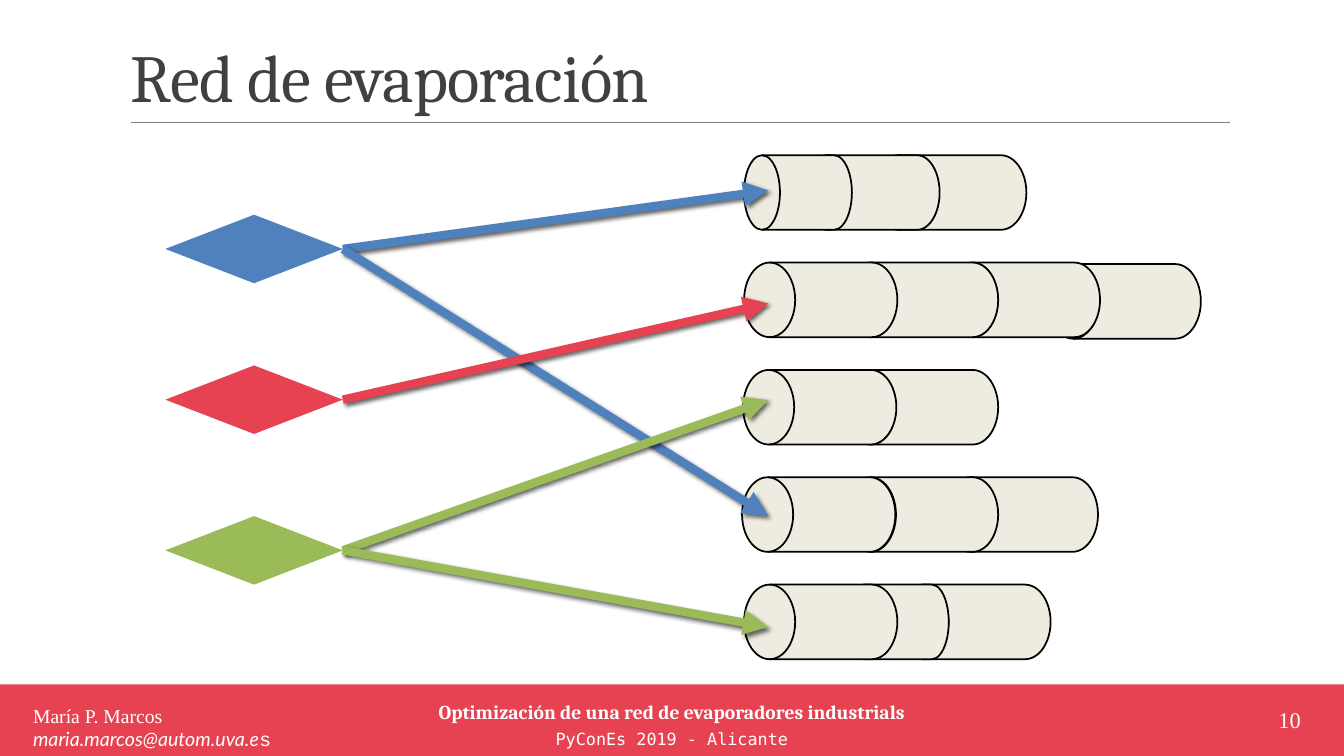
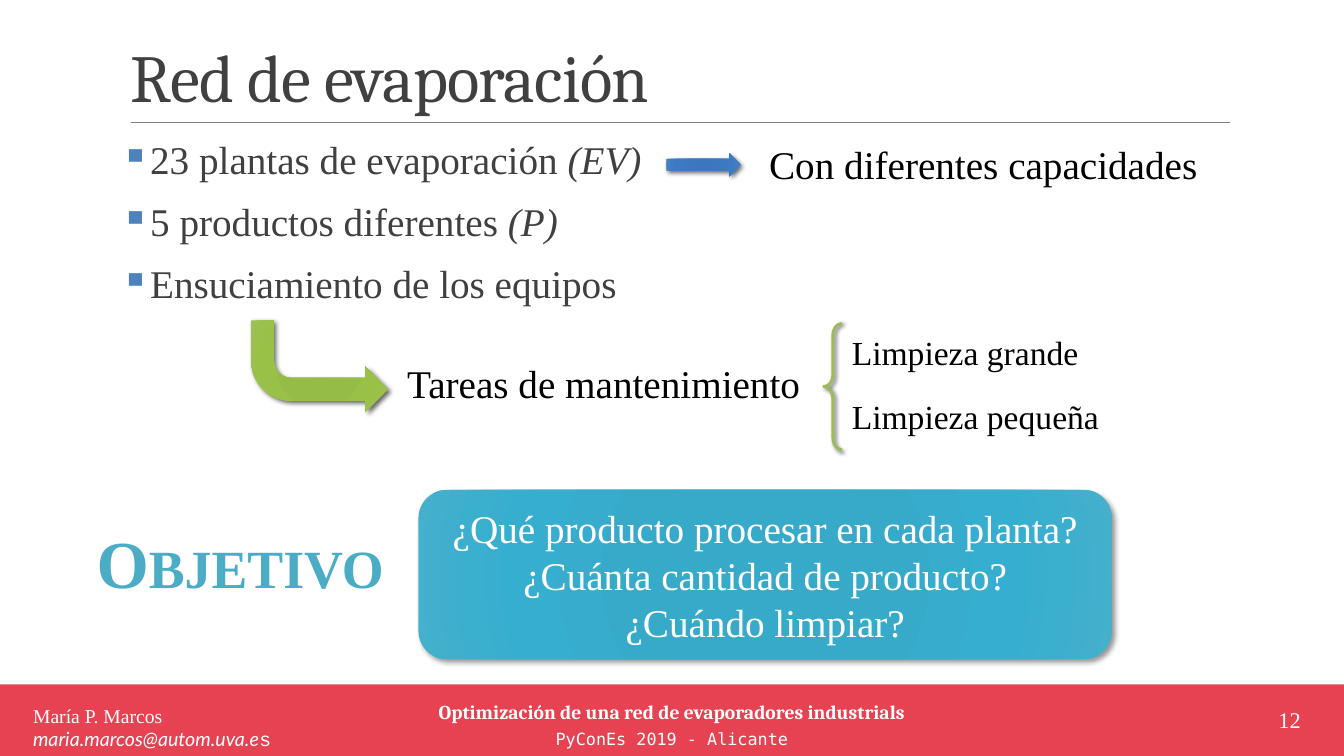
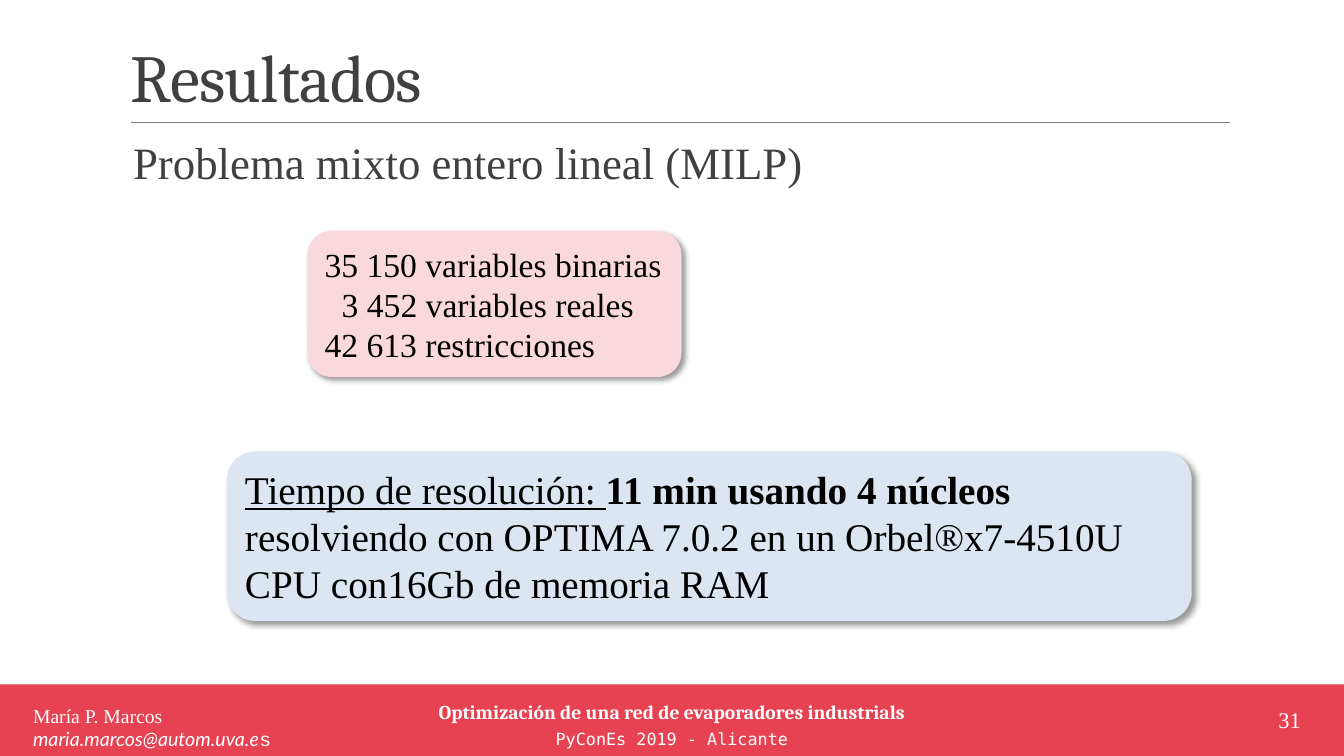
from lxml.etree import SubElement
from pptx import Presentation
from pptx.dml.color import RGBColor
from pptx.enum.shapes import MSO_CONNECTOR, MSO_SHAPE
from pptx.enum.text import MSO_ANCHOR, PP_ALIGN
from pptx.oxml import parse_xml
from pptx.oxml.ns import nsdecls, qn
from pptx.util import Inches, Pt

COLORS = {
    "band": "E64252", "rule": "808080", "ink": "404040", "black": "000000",
    "white": "FFFFFF", "blue": "4F81BD", "green": "9BBB59", "teal": "4BACC6",
    "cream": "EEECE1", "pink": "FAD9DC", "sky": "DCE6F2",
}
GRADIENTS = {
    "green": ("95BC45", "96BC48", "99C147", "9DC054"),
    "teal": ("35AACA", "38AAC9", "36AECF", "45B0CC"),
    "blue": ("3A77BF", "3D78BF", "3C7AC4", "4A81C3"),
}
GRADIENT_STOPS = (0, 34, 70, 100)
LINE_SHADOW = (60, 3, 2)
ARROW_SHADOW = (60, 3.5, 2)
CARD_SHADOW = (40, 4, 3)
SERIF = "Times New Roman"
TITLE = {"size": Pt(48), "name": "Cambria", "color": "ink", "spc": "-50"}
BODY = {"size": Pt(28), "name": SERIF, "color": "ink"}
LABEL = BODY | {"color": "black"}
SMALL_LABEL = LABEL | {"size": Pt(24)}
FOOTER = {"size": Pt(14), "name": SERIF, "color": "white"}
BODY_SPACING = {"line_spacing": 0.9, "space_after": Pt(2)}


class Deck:
    """Slide builder that holds the shared style and the current slide."""

    def __init__(self):
        self.deck = Presentation()
        self.deck.slide_width = Inches(13.33)
        self.deck.slide_height = Inches(7.5)
        self.slide = None

    def start(self, title, number):
        self.slide = self.deck.slides.add_slide(self.deck.slide_layouts[6])
        self.shape(MSO_SHAPE.RECTANGLE, (0, 6.79, 13.33, 0.71), "band")
        self.line((1.3, 1.21), (12.2, 1.21), "rule", 0.5)
        self.text((1.2, 0.31, 11, 0.89), [title], TITLE,
                  {"line_spacing": 0.85}, anchor=MSO_ANCHOR.BOTTOM)
        author = [("María P. Marcos ", {}),
                  ("maria.marcos@autom.uva.e", {"name": "Lato", "italic": True}),
                  ("s", {"name": "Courier New"})]
        self.text((0.23, 6.93, 2.83, 0.45), [author], FOOTER)
        talk = [("Optimización de una red de evaporadores industrials",
                 {"name": "Cambria", "bold": True})]
        event = [("PyConEs 2019 - Alicante",
                  {"name": "DejaVu Sans Mono", "size": Pt(12)})]
        self.text((3.38, 6.88, 6.57, 0.57), [talk, event], FOOTER,
                  {"alignment": PP_ALIGN.CENTER, "line_spacing": Pt(18)})
        self.text((11.57, 6.96, 1.43, 0.4), [number], FOOTER | {"size": Pt(16)},
                  {"alignment": PP_ALIGN.RIGHT})

    def rgb(self, color):
        return RGBColor.from_string(COLORS[color])

    def add_shadow(self, effects, shadow):
        alpha, blur, distance = shadow
        outer = SubElement(effects, qn("a:outerShdw"), blurRad=str(Pt(blur)),
                           dist=str(Pt(distance)), dir="2700000",
                           algn="tl", rotWithShape="0")
        black = SubElement(outer, qn("a:srgbClr"), val=COLORS["black"])
        SubElement(black, qn("a:alpha"), val=str(alpha * 1000))

    def shape(self, kind, box, fill=None, gradient=None, line=None, width=1,
              shadow=None, flip=None):
        shape = self.slide.shapes.add_shape(kind, *map(Inches, box))
        properties = shape._element.spPr
        if gradient:
            stops = "".join(
                f'<a:gs pos="{stop * 1000}"><a:srgbClr val="{color}"/></a:gs>'
                for stop, color in zip(GRADIENT_STOPS, GRADIENTS[gradient]))
            properties.find(qn("a:prstGeom")).addnext(parse_xml(
                f'<a:gradFill {nsdecls("a")} rotWithShape="1"><a:gsLst>{stops}'
                '</a:gsLst><a:path path="circle"><a:fillToRect l="100000" '
                't="100000" r="100000" b="100000"/></a:path></a:gradFill>'))
        elif fill:
            shape.fill.solid()
            shape.fill.fore_color.rgb = self.rgb(fill)
        else:
            shape.fill.background()
        if line:
            shape.line.color.rgb = self.rgb(line)
            shape.line.width = Pt(width)
        else:
            shape.line.fill.background()
        shape.shadow.inherit = False
        if shadow:
            self.add_shadow(properties.find(qn("a:effectLst")), shadow)
        if flip:
            properties.get_or_add_xfrm().set(flip, "1")
        return shape

    def line(self, start, end, color, width, arrow=False, shadow=None):
        connector = self.slide.shapes.add_connector(
            MSO_CONNECTOR.STRAIGHT, *map(Inches, start + end))
        connector.line.color.rgb = self.rgb(color)
        connector.line.width = Pt(width)
        properties = connector._element.spPr
        if arrow:
            SubElement(properties.find(qn("a:ln")), qn("a:tailEnd"),
                       type="triangle")
        effects = SubElement(properties, qn("a:effectLst"))
        if shadow:
            self.add_shadow(effects, shadow)

    def text(self, box, paragraphs, style, layout=None, anchor=MSO_ANCHOR.TOP,
             margin=0.1):
        holder = self.slide.shapes.add_textbox(*map(Inches, box))
        self.set_text(holder.text_frame, paragraphs, style, layout, anchor, margin)
        return holder.text_frame

    def card(self, kind, box, paragraphs, style, layout=None, **look):
        card = self.shape(kind, box, shadow=CARD_SHADOW, **look)
        layout = {"alignment": PP_ALIGN.LEFT} | (layout or {})
        self.set_text(card.text_frame, paragraphs, style, layout,
                      MSO_ANCHOR.MIDDLE)
        return card.text_frame

    def set_text(self, frame, paragraphs, style, layout, anchor, margin=0.1):
        frame.word_wrap = True
        frame.vertical_anchor = anchor
        frame.margin_left = frame.margin_right = Inches(margin)
        for index, content in enumerate(paragraphs):
            paragraph = frame.add_paragraph() if index else frame.paragraphs[0]
            for key, value in (layout or {}).items():
                setattr(paragraph, key, value)
            runs = [(content, {})] if isinstance(content, str) else content
            for words, changes in runs:
                run = paragraph.add_run()
                run.text = words
                self.style_run(run, style | changes)

    def style_run(self, run, values):
        for key, value in values.items():
            if key == "color":
                run.font.color.rgb = self.rgb(value)
            elif key in ("spc", "cap"):
                run._r.get_or_add_rPr().set(key, value)
            else:
                setattr(run.font, key, value)

    def indent(self, paragraph, left, bullet=None):
        properties = paragraph._p.get_or_add_pPr()
        properties.set("marL", str(Inches(left)))
        if bullet:
            properties.set("indent", str(-Inches(left)))
            color = SubElement(properties, qn("a:buClr"))
            SubElement(color, qn("a:srgbClr"), val=COLORS["blue"])
            SubElement(properties, qn("a:buChar"), char=bullet)

    def drum(self, left, top, width):
        self.shape(MSO_SHAPE.FLOWCHART_DIRECT_ACCESS_STORAGE,
                   (left, top, width, 0.74), "cream", line="black", width=1.25,
                   flip="flipH")


def network_slide(deck):
    deck.start("Red de evaporación", "10")
    product_tops = {color: 2.13 + 2.99 / 2 * row
                    for row, color in enumerate(("blue", "band", "green"))}
    for color, top in product_tops.items():
        deck.shape(MSO_SHAPE.FLOWCHART_DECISION, (1.64, top, 1.76, 0.68), color)

    deck.drum(10.39, 2.62, 1.52)
    plants = [
        [(8.66, 1.52), (7.98, 1.34), (7.38, 1.07)],
        [(9.39, 1.52), (8.38, 1.52), (7.38, 1.52)],
        [(8.38, 1.52), (7.37, 1.52)],
        [(9.37, 1.52), (8.38, 1.52), (7.36, 1.52)],
        [(8.9, 1.52), (8.4, 1.01), (7.38, 1.52)],
    ]
    for row, drums in enumerate(plants):
        for left, width in drums:
            deck.drum(left, 1.54 + 4.26 / 4 * row, width)

    routes = [("blue", 1.89), ("blue", 5.12), ("band", 3.01),
              ("green", 3.97), ("green", 6.22)]
    for color, target in routes:
        deck.line((3.4, product_tops[color] + 0.34), (7.62, target), color, 6,
                  arrow=True, shadow=LINE_SHADOW)


def goal_slide(deck):
    deck.start("Red de evaporación", "12")
    italic = {"italic": True}
    facts = deck.text((1.2, 1.35, 11, 1.83), [
        [("23 plantas de evaporación ", {}), ("(EV)", italic)],
        [("5 productos diferentes ", {}), ("(P)", italic)],
        "Ensuciamiento de los equipos",
    ], BODY, BODY_SPACING, margin=0)
    for index, fact in enumerate(facts.paragraphs):
        deck.indent(fact, 0.24, "▪")
        if index:
            fact.space_before = Pt(12)

    deck.shape(MSO_SHAPE.BENT_ARROW, (2.49, 3.18, 1.36, 0.91), gradient="green",
               shadow=ARROW_SHADOW, flip="flipV")
    deck.text((3.94, 3.52, 4.14, 0.57), ["Tareas de mantenimiento"], LABEL)
    brace = deck.shape(MSO_SHAPE.LEFT_BRACE, (8.17, 3.21, 0.18, 1.25),
                       line="green", width=2, shadow=LINE_SHADOW)
    brace.adjustments[0] = 0.64
    for row, cleaning in enumerate(("Limpieza grande", "Limpieza pequeña")):
        deck.text((8.35, 3.24 + 0.64 * row, 2.67, 0.5), [cleaning], SMALL_LABEL)

    deck.text((0.86, 5.12, 3.08, 0.91), ["Objetivo"],
              {"size": Pt(48), "name": SERIF, "color": "teal", "bold": True,
               "cap": "small"})
    deck.card(MSO_SHAPE.ROUNDED_RECTANGLE, (4.15, 4.86, 6.88, 1.68), [
        "¿Qué producto procesar en cada planta?",
        "¿Cuánta cantidad de producto?",
        "¿Cuándo limpiar?",
    ], BODY | {"color": "white"}, {"alignment": PP_ALIGN.CENTER}, gradient="teal")
    deck.shape(MSO_SHAPE.RIGHT_ARROW, (6.61, 1.52, 0.74, 0.23), gradient="blue",
               shadow=ARROW_SHADOW)
    deck.text((7.53, 1.34, 4.49, 0.57), ["Con diferentes capacidades"], LABEL)


def results_slide(deck):
    deck.start("Resultados", "31")
    problem = deck.text((1.2, 1.35, 11, 0.7),
                        ["Problema mixto entero lineal (MILP)"],
                        BODY | {"size": Pt(32)}, BODY_SPACING, margin=0)
    deck.indent(problem.paragraphs[0], 0.12)
    model_size = deck.card(MSO_SHAPE.ROUNDED_RECTANGLE, (3.05, 2.29, 3.71, 1.45), [
        "35 150 variables binarias",
        "3 452 variables reales",
        "42 613 restricciones",
    ], SMALL_LABEL, fill="pink")
    deck.indent(model_size.paragraphs[1], 0.17)
    deck.card(MSO_SHAPE.FLOWCHART_ALTERNATE_PROCESS, (2.25, 4.48, 9.57, 1.68), [[
        ("Tiempo de resolución: ", {"underline": True}),
        ("11 min usando 4 núcleos ", {"bold": True}),
        ("resolviendo con OPTIMA 7.0.2 en un Orbel®x7-4510U "
         "CPU con16Gb de memoria RAM", {}),
    ]], LABEL, fill="sky")


def main():
    deck = Deck()
    network_slide(deck)
    goal_slide(deck)
    results_slide(deck)
    deck.deck.save("out.pptx")


if __name__ == "__main__":
    main()
